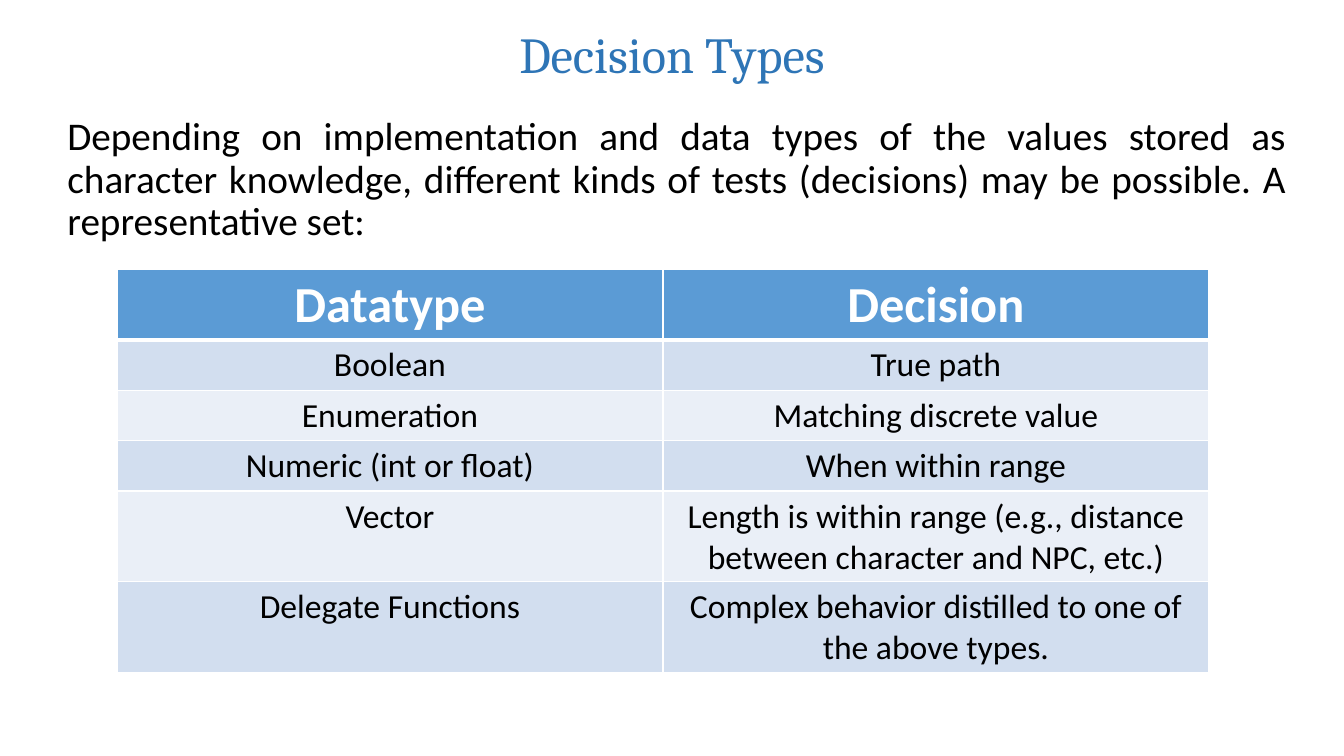
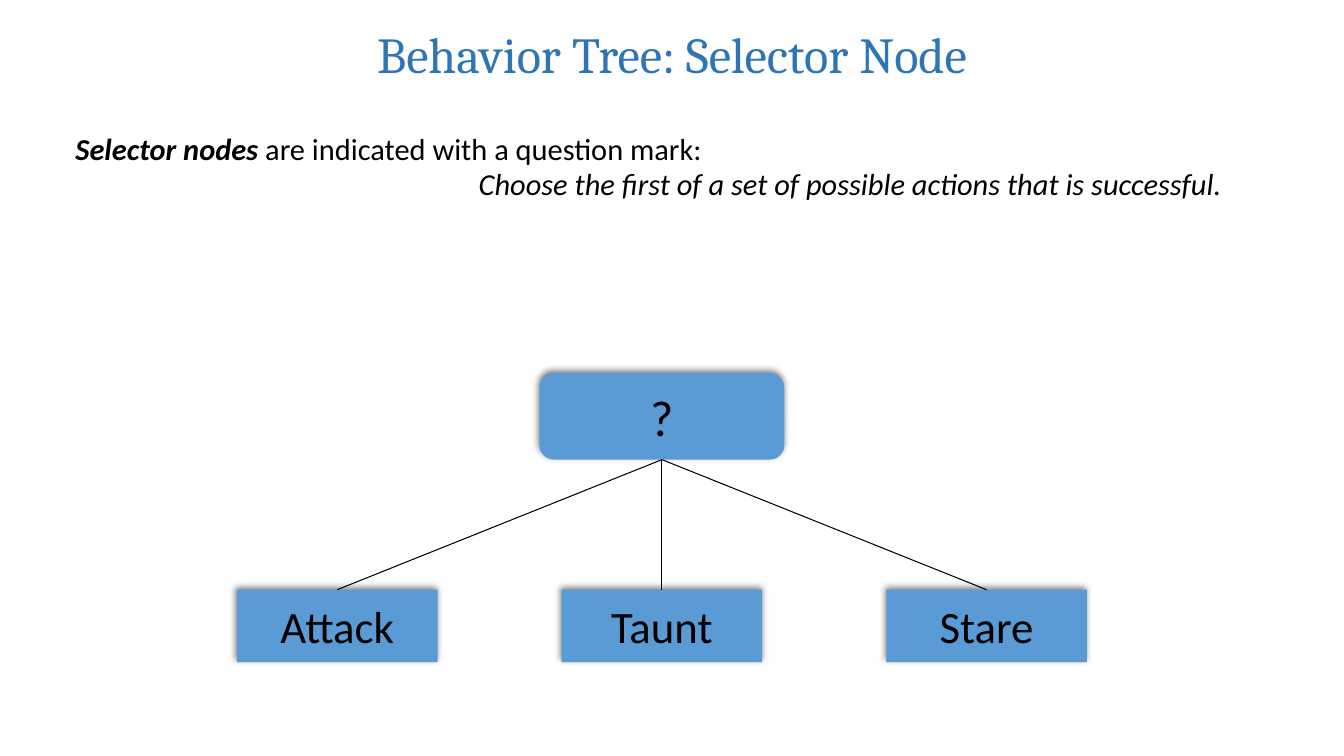
from dataclasses import dataclass

import lxml.etree
import pptx
import pptx.dml.color
import pptx.enum.shapes
import pptx.enum.text
import pptx.oxml
import pptx.oxml.ns
import pptx.util

Inches = pptx.util.Inches
Pt = pptx.util.Pt
qn = pptx.oxml.ns.qn
ALIGN = pptx.enum.text.PP_ALIGN
ANCHOR = pptx.enum.text.MSO_ANCHOR
SHAPE = pptx.enum.shapes.MSO_SHAPE


@dataclass(frozen=True)
class Theme:
    title_font: str = "Cambria"
    body_font: str = "Calibri"
    title: str = "2E75B6"
    text: str = "000000"
    white: str = "FFFFFF"
    accent: str = "5B9BD5"
    bands: tuple = ("D2DEEF", "EAEFF7")
    title_size: float = 36
    head_size: float = 36
    body_size: float = 28
    cell_size: float = 24
    note_size: float = 21.7
    root_size: float = 36
    leaf_size: float = 32


THEME = Theme()
TITLE_BOX = (1.05, 0.12, 11.23, 0.82)


def rgb(value):
    return pptx.dml.color.RGBColor.from_string(value)


def add_run(p, text, size, color=THEME.text, font=THEME.body_font, bold=False, italic=False):
    r = p.add_run()
    r.text = text
    r.font.name = font
    r.font.size = Pt(size)
    r.font.bold = bold
    r.font.italic = italic
    r.font.color.rgb = rgb(color)


def add_text_frame(s, box):
    tf = s.shapes.add_textbox(*map(Inches, box)).text_frame
    tf.word_wrap = True
    return tf


def add_title(s, text):
    tf = add_text_frame(s, TITLE_BOX)
    tf.vertical_anchor = ANCHOR.MIDDLE
    p = tf.paragraphs[0]
    p.alignment = ALIGN.CENTER
    add_run(p, text, THEME.title_size, THEME.title, THEME.title_font)


def set_spacing(p, size, line_spacing):
    """Space before is 30% of the type size."""
    p.line_spacing = line_spacing
    p.space_before = Pt(round(0.3 * size, 1))


def add_intro(s, box, text):
    p = add_text_frame(s, box).paragraphs[0]
    p.alignment = ALIGN.JUSTIFY
    set_spacing(p, THEME.body_size, 0.9)
    add_run(p, text, THEME.body_size)


def set_borders(cell, top, bottom):
    """White borders; the side ones are always 1 point wide."""
    tc_pr = cell._tc.get_or_add_tcPr()
    for tag, width in (("a:lnL", 1), ("a:lnR", 1), ("a:lnT", top), ("a:lnB", bottom)):
        ln = lxml.etree.SubElement(tc_pr, qn(tag), w=str(Pt(width)))
        fill = lxml.etree.SubElement(ln, qn("a:solidFill"))
        lxml.etree.SubElement(fill, qn("a:srgbClr"), val=THEME.white)


def add_type_table(s, box, rows, heights):
    """The first row is the header; the others are banded."""
    table = s.shapes.add_table(len(rows), len(rows[0]), *map(Inches, box)).table
    for i, (row, height) in enumerate(zip(rows, heights)):
        table.rows[i].height = Inches(height)
        header = i == 0
        fill = THEME.accent if header else THEME.bands[(i - 1) % 2]
        size = THEME.head_size if header else THEME.cell_size
        color = THEME.white if header else THEME.text
        for j, text in enumerate(row):
            cell = table.cell(i, j)
            set_borders(cell, top=3 if i == 1 else 1, bottom=3 if header else 1)
            cell.fill.solid()
            cell.fill.fore_color.rgb = rgb(fill)
            p = cell.text_frame.paragraphs[0]
            p.alignment = ALIGN.CENTER
            add_run(p, text, size, color, bold=header)


def add_definition(s, box, term, rest, meaning, indent):
    tf = add_text_frame(s, box)
    p = tf.paragraphs[0]
    set_spacing(p, THEME.note_size, 0.7)
    add_run(p, term, THEME.note_size, bold=True, italic=True)
    add_run(p, rest, THEME.note_size)
    p = tf.add_paragraph()
    set_spacing(p, THEME.note_size, 0.7)
    p._p.get_or_add_pPr().set("marL", str(Inches(indent)))
    add_run(p, meaning, THEME.note_size, italic=True)


def add_shadow(sp):
    effects = lxml.etree.SubElement(sp._element.spPr, qn("a:effectLst"))
    shadow = lxml.etree.SubElement(
        effects, qn("a:outerShdw"), blurRad=str(Pt(5)), dist=str(Pt(2)),
        dir=str(245 * 60000), algn="ctr", rotWithShape="0")
    color = lxml.etree.SubElement(shadow, qn("a:srgbClr"), val=THEME.text)
    lxml.etree.SubElement(color, qn("a:alpha"), val="50000")


def add_node(s, kind, box, text, size):
    sp = s.shapes.add_shape(kind, *map(Inches, box))
    sp.fill.solid()
    sp.fill.fore_color.rgb = rgb(THEME.accent)
    sp.line.fill.background()
    add_shadow(sp)
    tf = sp.text_frame
    tf.vertical_anchor = ANCHOR.MIDDLE
    p = tf.paragraphs[0]
    p.alignment = ALIGN.CENTER
    add_run(p, text, size)
    return sp


def add_branch(s, parent, child):
    line = s.shapes.add_connector(pptx.enum.shapes.MSO_CONNECTOR.STRAIGHT, 0, 0, 0, 0)
    line.begin_connect(parent, 2)
    line.end_connect(child, 0)
    line.line.color.rgb = rgb(THEME.text)
    line.line.width = Pt(0.75)
    lxml.etree.SubElement(line._element.spPr, qn("a:effectLst"))


def add_tree(s, box, root_text, leaf_texts):
    """Root centred at the top of the box, leaves spread along its bottom."""
    left, top, width, height = box
    root_w, root_h, leaf_w, leaf_h = 2.43, 0.86, 1.99, 0.72
    pitch = (width - leaf_w) / (len(leaf_texts) - 1)
    root_box = (left + (width - root_w) / 2, top, root_w, root_h)
    root = add_node(s, SHAPE.ROUNDED_RECTANGLE, root_box, root_text, THEME.root_size)
    leaves = [
        add_node(s, SHAPE.RECTANGLE,
                 (left + i * pitch, top + height - leaf_h, leaf_w, leaf_h),
                 text, THEME.leaf_size)
        for i, text in enumerate(leaf_texts)
    ]
    for leaf in leaves:
        add_branch(s, root, leaf)


def add_slide(prs, title):
    s = prs.slides.add_slide(prs.slide_layouts[6])
    add_title(s, title)
    return s


def build_decision_types(prs):
    s = add_slide(prs, "Decision Types")
    add_intro(s, (0.57, 1.11, 12.28, 1.45),
              "Depending on implementation and data types of the values stored as "
              "character knowledge, different kinds of tests (decisions) may be "
              "possible. A representative set:")
    rows = [
        ("Datatype", "Decision"),
        ("Boolean", "True path"),
        ("Enumeration", "Matching discrete value"),
        ("Numeric (int or float)", "When within range"),
        ("Vector", "Length is within range (e.g., distance between character and NPC, etc.)"),
        ("Delegate Functions", "Complex behavior distilled to one of the above types."),
    ]
    add_type_table(s, (1.16, 2.67, 10.83, 4), rows, (0.7, 0.5, 0.5, 0.5, 0.9, 0.9))


def build_selector_node(prs):
    s = add_slide(prs, "Behavior Tree: Selector Node")
    add_definition(s, (0.65, 1.34, 12.04, 0.75),
                   "Selector nodes ", "are indicated with a question mark:",
                   "Choose the first of a set of possible actions that is successful.",
                   indent=4)
    add_tree(s, (2.35, 3.7, 8.43, 2.87), "?", ("Attack", "Taunt", "Stare"))


def main():
    prs = pptx.Presentation()
    prs.slide_width = Inches(13.33)
    prs.slide_height = Inches(7.5)
    build_decision_types(prs)
    build_selector_node(prs)
    prs.save("out.pptx")


if __name__ == "__main__":
    main()
